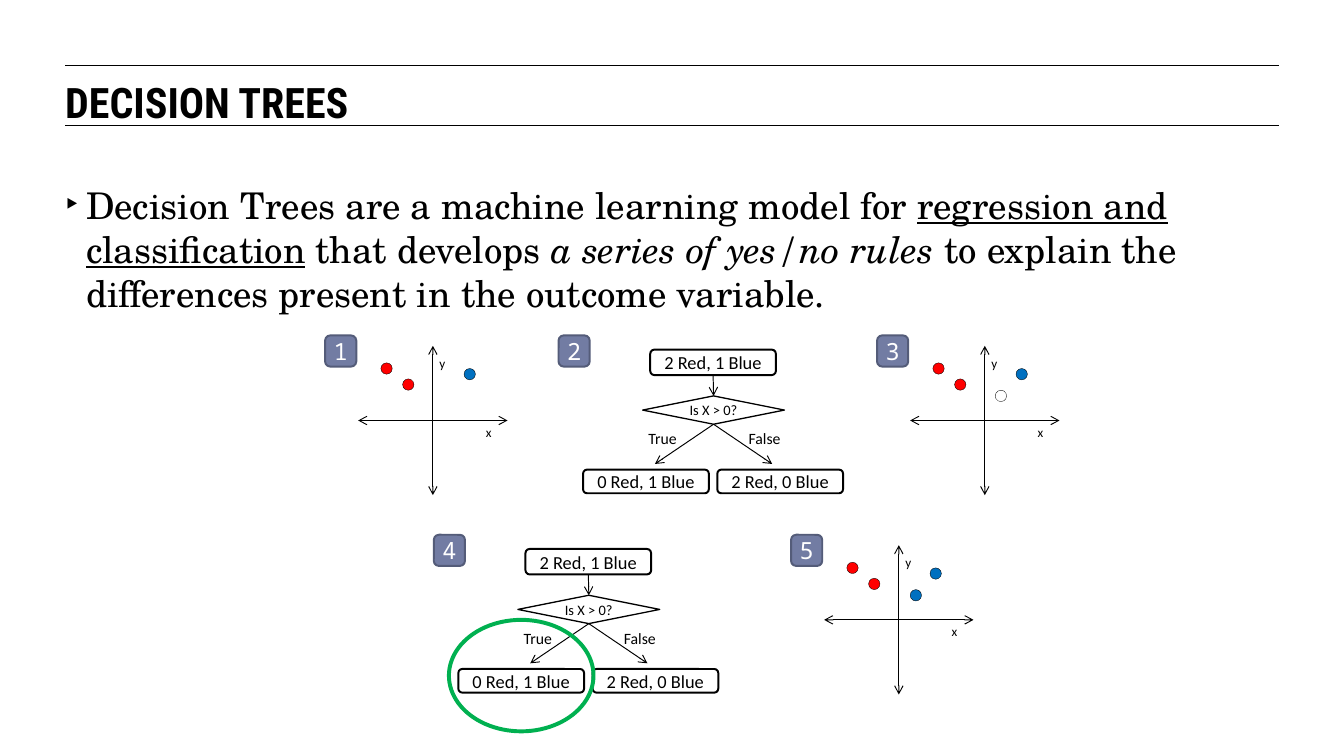
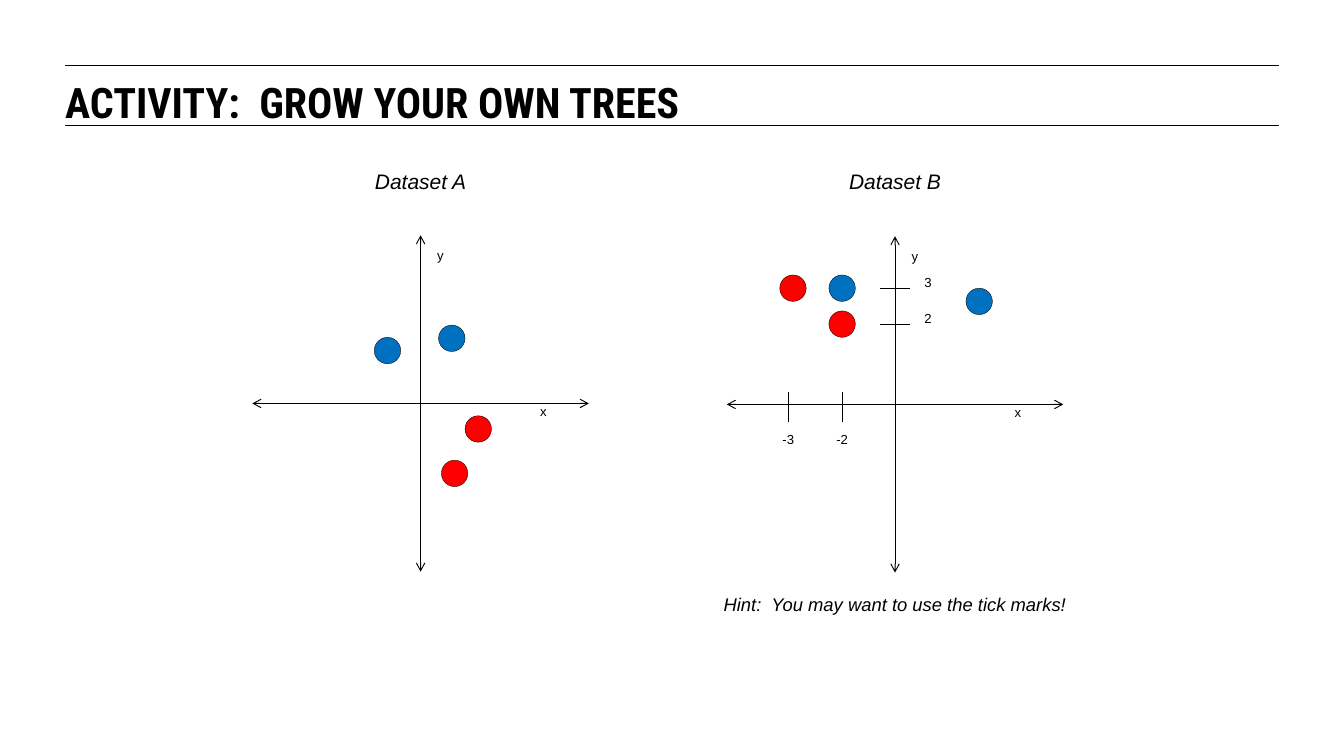
import lxml.etree
import pptx
import pptx.dml.color
import pptx.enum.shapes
import pptx.enum.text
import pptx.oxml.ns
import pptx.util

Inches = pptx.util.Inches
Pt = pptx.util.Pt
SHAPE = pptx.enum.shapes.MSO_SHAPE
ANCHOR = pptx.enum.text.MSO_ANCHOR
ALIGN = pptx.enum.text.PP_ALIGN

COLORS = {
    "ink": "000000",
    "red": "FF0000",
    "blue": "0070C0",
    "badge": "727CA3",
    "badge_edge": "545C79",
    "badge_text": "FFFFFF",
    "highlight": "00B050",
}
TITLE_FONT = "Roboto Condensed"
BODY_FONT = "TeX Gyre Schola"
DIAGRAM_FONT = "Calibri"
BADGE_FONT = "Noto Sans Mono"
ACTIVITY_FONT = "Arial"

MARGIN = 0.69
CONTENT_WIDTH = 12.84
RULE_TOPS = (0.69, 1.33)

# Dots are (x, y, color), in inches from the origin of the plot
TRAINING_DOTS = [(-0.49, -0.55, "red"), (-0.26, -0.38, "red"), (0.39, -0.49, "blue")]


def rgb(name):
    return pptx.dml.color.RGBColor.from_string(COLORS[name])


# Basic parts
def format_font(font, name, size, color="ink", bold=False, italic=False):
    font.name = name
    font.size = Pt(size)
    font.color.rgb = rgb(color)
    font.bold = bold
    font.italic = italic


def clear_insets(text_frame):
    text_frame.margin_left = text_frame.margin_right = 0
    text_frame.margin_top = text_frame.margin_bottom = 0


def place(shape, left, top, width, height):
    shape.left, shape.top = Inches(left), Inches(top)
    shape.width, shape.height = Inches(width), Inches(height)


def write_centered(shape, text, font_name, size, color="ink", italic=False):
    text_frame = shape.text_frame
    clear_insets(text_frame)
    text_frame.word_wrap = False
    text_frame.vertical_anchor = ANCHOR.MIDDLE
    paragraph = text_frame.paragraphs[0]
    paragraph.text = text
    paragraph.alignment = ALIGN.CENTER
    format_font(paragraph.font, font_name, size, color, italic=italic)


def add_label(slide, center_x, center_y, text, font_name, size, width=0.4, italic=False):
    height = 0.3
    box = slide.shapes.add_textbox(
        Inches(center_x - width / 2), Inches(center_y - height / 2),
        Inches(width), Inches(height))
    write_centered(box, text, font_name, size, italic=italic)


def add_outline(slide, kind, left, top, width, height, line_width, fill=None, line="ink"):
    shape = slide.shapes.add_shape(
        kind, Inches(left), Inches(top), Inches(width), Inches(height))
    shape.shadow.inherit = False
    if fill:
        shape.fill.solid()
        shape.fill.fore_color.rgb = rgb(fill)
    else:
        shape.fill.background()
    shape.line.color.rgb = rgb(line)
    shape.line.width = Pt(line_width)
    return shape


def add_line(slide, start, end, arrows=()):
    """arrows may hold headEnd (at the start) and tailEnd (at the end)."""
    connector = slide.shapes.add_connector(
        pptx.enum.shapes.MSO_CONNECTOR.STRAIGHT,
        Inches(start[0]), Inches(start[1]), Inches(end[0]), Inches(end[1]))
    connector.line.color.rgb = rgb("ink")
    connector.line.width = Pt(0.75)
    line_element = connector.line._get_or_add_ln()
    for arrow in arrows:
        lxml.etree.SubElement(
            line_element, pptx.oxml.ns.qn("a:" + arrow), type="arrow")
    lxml.etree.SubElement(
        connector._element.spPr, pptx.oxml.ns.qn("a:effectLst"))
    return connector


# Title between two rules, on every slide
def add_titled_slide(presentation, layout_index, title):
    slide = presentation.slides.add_slide(presentation.slide_layouts[layout_index])
    for top in RULE_TOPS:
        add_line(slide, (MARGIN, top), (MARGIN + CONTENT_WIDTH, top))
    shape = slide.shapes.title
    place(shape, MARGIN, 0.81, CONTENT_WIDTH, 0.47)
    text_frame = shape.text_frame
    clear_insets(text_frame)
    text_frame.auto_size = pptx.enum.text.MSO_AUTO_SIZE.NONE
    text_frame.vertical_anchor = ANCHOR.TOP
    paragraph = text_frame.paragraphs[0]
    paragraph.text = title
    paragraph.alignment = ALIGN.LEFT
    format_font(paragraph.font, TITLE_FONT, 32, bold=True)
    return slide


def fill_definition(body):
    place(body, MARGIN, 1.93, CONTENT_WIDTH, 1.5)
    text_frame = body.text_frame
    clear_insets(text_frame)
    text_frame.auto_size = pptx.enum.text.MSO_AUTO_SIZE.NONE
    paragraph = text_frame.paragraphs[0]
    paragraph.space_before = Pt(0)
    format_font(paragraph.font, BODY_FONT, 28)
    for text, style in [
        ("Decision Trees are a machine learning model for ", None),
        ("regression and classification", "underline"),
        (" that develops ", None),
        ("a series of yes/no rules", "italic"),
        (" to explain the differences present in the outcome variable.", None),
    ]:
        run = paragraph.add_run()
        run.text = text
        if style:
            setattr(run.font, style, True)
    properties = paragraph._p.get_or_add_pPr()
    properties.set("marL", str(Inches(0.22)))
    properties.set("indent", str(-Inches(0.22)))
    bullet = lxml.etree.Element(pptx.oxml.ns.qn("a:buChar"), char="‣")
    properties.find(pptx.oxml.ns.qn("a:defRPr")).addprevious(bullet)


# Scatter plot around an origin
def add_plot(slide, origin, reach, dots, dot_size, y_label, x_label, font_name):
    x, y = origin
    both_ends = ("headEnd", "tailEnd")
    add_line(slide, (x, y - reach), (x, y + reach), both_ends)
    add_line(slide, (x + reach, y), (x - reach, y), both_ends)
    for text, (dx, dy) in (("y", y_label), ("x", x_label)):
        add_label(slide, x + dx, y + dy, text, font_name, 10)
    for dx, dy, color in dots:
        add_outline(slide, SHAPE.OVAL, x + dx - dot_size / 2, y + dy - dot_size / 2,
                    dot_size, dot_size, 0.25, fill=color)


# Numbered steps; left and top are the corner of the badge
def add_badge(slide, left, top, number):
    badge = add_outline(slide, SHAPE.ROUNDED_RECTANGLE, left, top, 0.33, 0.33, 1.5,
                        fill="badge", line="badge_edge")
    write_centered(badge, str(number), BADGE_FONT, 18, "badge_text")


def add_plot_step(slide, left, top, number, extra_dots=()):
    add_badge(slide, left, top, number)
    add_plot(slide, (left + 1.14, top + 0.9), 0.79, TRAINING_DOTS + list(extra_dots),
             0.12, (0.1, -0.61), (0.59, 0.12), DIAGRAM_FONT)


def add_tree_step(slide, left, top, number, highlight=False):
    add_badge(slide, left, top, number)
    center = left + 1.64

    def add_node(node_center, node_top, height, text):
        node = add_outline(slide, SHAPE.ROUNDED_RECTANGLE, node_center - 0.67,
                           top + node_top, 1.33, height, 1.5)
        write_centered(node, text, DIAGRAM_FONT, 14)
        return node

    root = add_node(center, 0.15, 0.27, "2 Red, 1 Blue")
    question = add_outline(slide, SHAPE.DIAMOND, center - 0.75, top + 0.64, 1.5, 0.3, 1)
    write_centered(question, "Is X > 0?", DIAGRAM_FONT, 11)
    stem = add_line(slide, (center, top + 0.42), (center, top + 0.64), ("tailEnd",))
    stem.begin_connect(root, 2)
    stem.end_connect(question, 0)

    for side, answer, text in ((-1, "True", "0 Red, 1 Blue"),
                               (1, "False", "2 Red, 0 Blue")):
        add_node(center + side * 0.71, 1.42, 0.25, text)
        branch = add_line(slide, (center, top + 0.94),
                          (center + side * 0.62, top + 1.36), ("tailEnd",))
        branch.begin_connect(question, 2)
        add_label(slide, center + side * 0.54, top + 1.09, answer, DIAGRAM_FONT, 12)
    if highlight:
        add_outline(slide, SHAPE.OVAL, left + 0.16, top + 0.9, 1.53, 1.18, 3,
                    line="highlight")


# Dataset with its heading
def add_dataset(slide, origin, name, dots):
    add_label(slide, origin[0], 1.92, name, ACTIVITY_FONT, 16, 3.27, italic=True)
    add_plot(slide, origin, 1.78, dots, 0.28, (0.21, -1.57), (1.3, 0.08), ACTIVITY_FONT)


def add_ticks(slide, origin, x_ticks, y_ticks):
    x, y = origin
    half = 0.16
    for text, dx in x_ticks:
        add_line(slide, (x + dx, y + 0.03 - half), (x + dx, y + 0.03 + half))
        add_label(slide, x + dx, y + 0.37, text, ACTIVITY_FONT, 10)
    for text, dy in y_ticks:
        add_line(slide, (x - half, y + dy), (x + half, y + dy))
        add_label(slide, x + 0.35, y + dy - 0.06, text, ACTIVITY_FONT, 10)


def build_decision_trees(presentation):
    slide = add_titled_slide(presentation, 1, "DECISION TREES")
    fill_definition(slide.placeholders[1])
    first_row, second_row = 3.55, 5.66
    add_plot_step(slide, 3.44, first_row, 1)
    add_tree_step(slide, 5.91, first_row, 2)
    add_plot_step(slide, 9.28, first_row, 3, [(0.17, -0.26, None)])
    add_tree_step(slide, 4.59, second_row, 4, highlight=True)
    add_plot_step(slide, 8.37, second_row, 5, [(0.18, -0.26, "blue")])


def build_activity(presentation):
    slide = add_titled_slide(presentation, 5, "ACTIVITY:  GROW YOUR OWN TREES")
    add_dataset(slide, (4.45, 4.27), "Dataset A", [
        (0.36, 0.74, "red"), (0.61, 0.27, "red"),
        (-0.35, -0.56, "blue"), (0.33, -0.69, "blue")])
    origin = (9.47, 4.28)
    add_dataset(slide, origin, "Dataset B", [
        (-1.08, -1.23, "red"), (-0.56, -0.85, "red"),
        (0.89, -1.09, "blue"), (-0.56, -1.23, "blue")])
    add_ticks(slide, origin, [("-3", -1.13), ("-2", -0.56)], [("3", -1.23), ("2", -0.85)])
    add_label(slide, origin[0], 6.39, "Hint:  You may want to use the tick marks!",
              ACTIVITY_FONT, 14, 4.18, italic=True)


def main():
    presentation = pptx.Presentation()
    presentation.slide_width = Inches(14.22)
    presentation.slide_height = Inches(7.99)
    build_decision_trees(presentation)
    build_activity(presentation)
    presentation.save("out.pptx")


if __name__ == "__main__":
    main()
